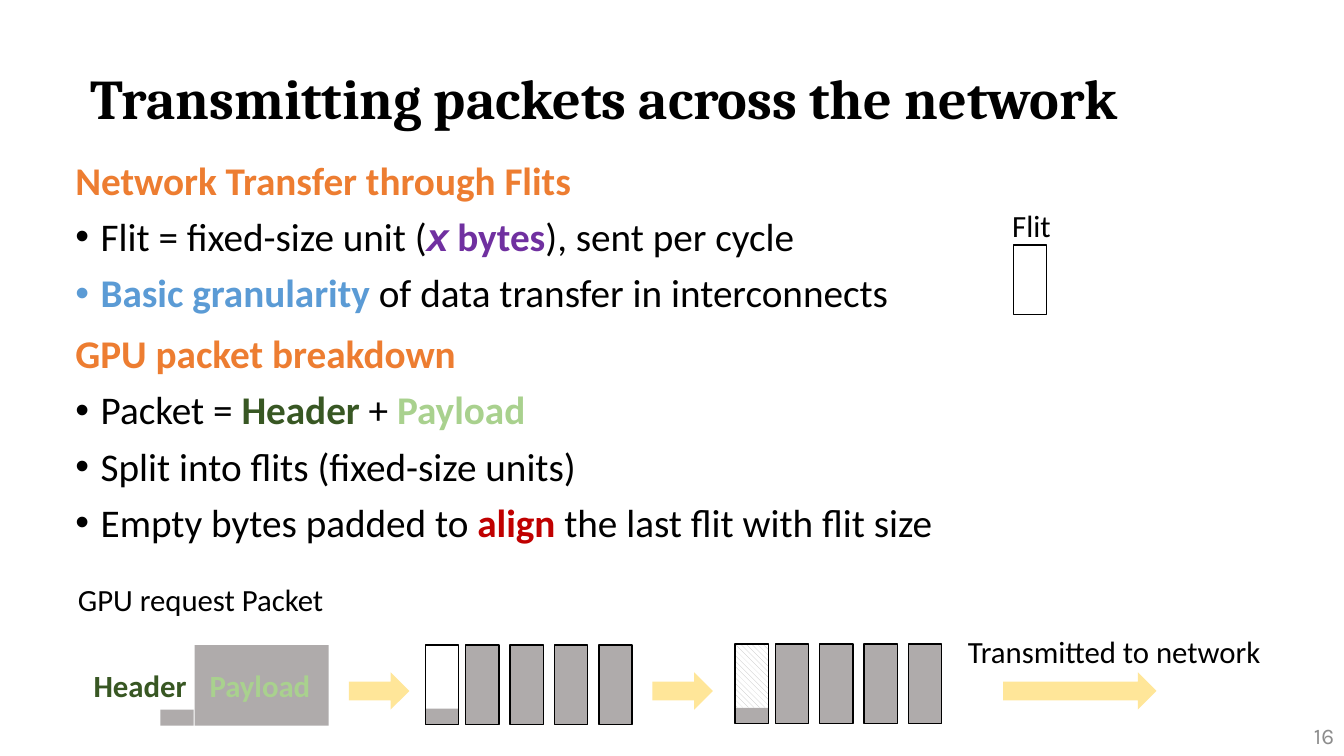
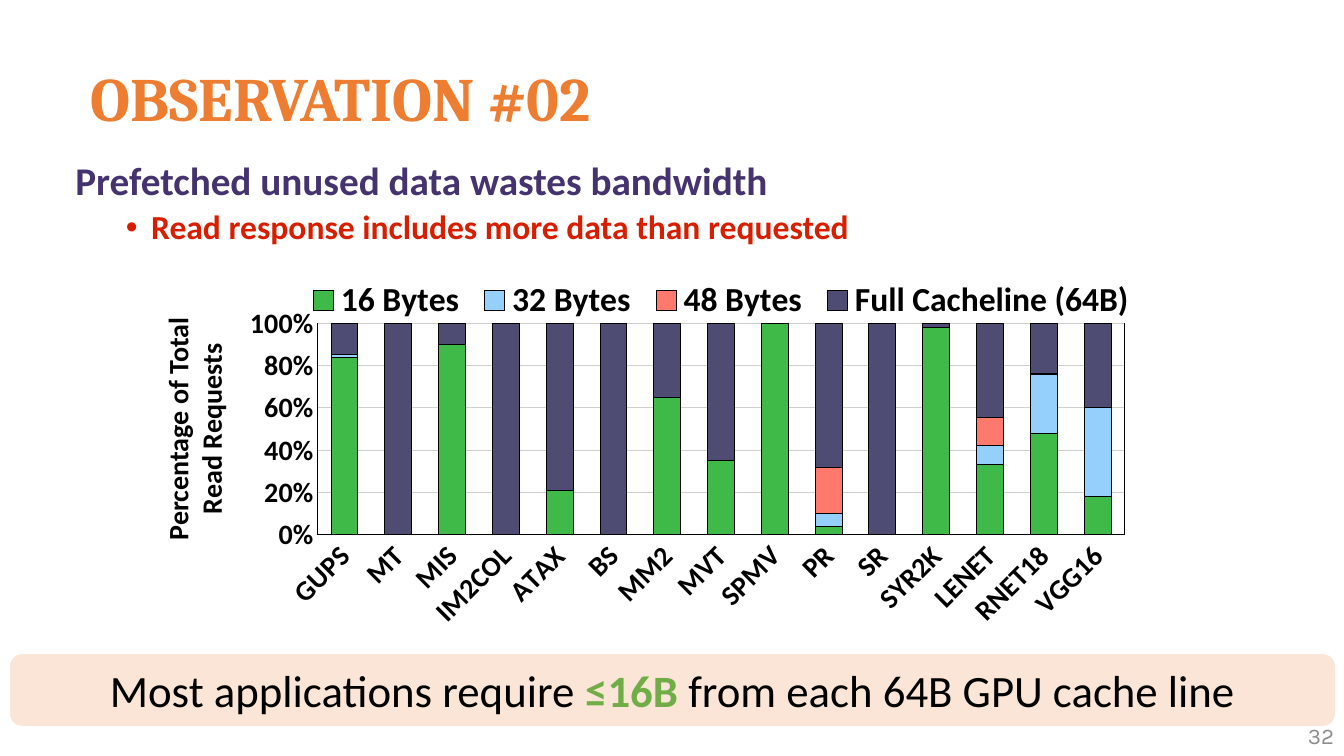
import dataclasses

import lxml.etree
import pptx
import pptx.chart.data
import pptx.dml.color
import pptx.enum.chart
import pptx.enum.dml
import pptx.enum.shapes
import pptx.enum.text
import pptx.oxml.ns
import pptx.util

Inches = pptx.util.Inches
Pt = pptx.util.Pt
qn = pptx.oxml.ns.qn
Shape = pptx.enum.shapes.MSO_SHAPE
Align = pptx.enum.text.PP_ALIGN
Anchor = pptx.enum.text.MSO_ANCHOR


@dataclasses.dataclass(frozen=True)
class Theme:
    """Colours, fonts and type sizes shared by the slides."""
    ink: str = "000000"
    paper: str = "FFFFFF"
    orange: str = "ED7D31"
    purple: str = "7030A0"
    blue: str = "5B9BD5"
    header: str = "385723"
    payload: str = "A9D18E"
    crimson: str = "C00000"
    violet: str = "453370"
    red: str = "D81E00"
    green: str = "70AD47"
    block: str = "AFABAB"
    arrow: str = "FFE699"
    hatch: str = "BFBFBF"
    band: str = "FBE5D6"
    grid: str = "D0CECE"
    muted: str = "8C8C8C"
    title_font: str = "Cambria"
    body_font: str = "Calibri"
    symbol_font: str = "Arial"
    number_font: str = "Karla"
    body: int = 28
    sub: int = 24
    label: int = 22
    axis: int = 20
    takeaway: int = 32
    number: int = 16


THEME = Theme()
REQUEST_SIZES = [
    ("16 Bytes", "3FBA48", (84, 0, 90, 0, 21, 0, 65, 35, 100, 4, 0, 98, 33, 48, 18)),
    ("32 Bytes", "95D0FC", (1, 0, 0, 0, 0, 0, 0, 0, 0, 6, 0, 0, 9, 28, 42)),
    ("48 Bytes", "FF796C", (0, 0, 0, 0, 0, 0, 0, 0, 0, 22, 0, 0, 13, 0, 0)),
    ("Full Cacheline (64B)", "4E4C72",
     (15, 100, 10, 100, 79, 100, 35, 65, 0, 68, 100, 2, 44, 24, 40)),
]
APPLICATIONS = ["GUPS", "MT", "MIS", "IM2COL", "ATAX", "BS", "MM2", "MVT", "SPMV",
                "PR", "SR", "SYR2K", "LENET", "RNET18", "VGG16"]


def rgb(color):
    """Turn a hex string into a colour."""
    return pptx.dml.color.RGBColor.from_string(color)


def lengths(*values):
    """Turn numbers of inches into lengths."""
    return [Inches(value) for value in values]


def set_font(font, size, color=THEME.ink, name=THEME.body_font, bold=False, italic=False):
    """Format a font."""
    font.name, font.size, font.bold, font.italic = name, Pt(size), bold, italic
    font.color.rgb = rgb(color)


def add_span(para, text, **style):
    """Add a run of text with its format."""
    span = para.add_run()
    span.text = text
    set_font(span.font, **style)


def write(frame, paras, size, align=Align.LEFT, before=0, spacing=None):
    """Fill a frame with paragraphs, each an indent (None for no bullet) and its spans."""
    for index, (indent, spans) in enumerate(paras):
        para = frame.add_paragraph() if index else frame.paragraphs[0]
        para.alignment = align
        para.space_before = Pt(before if index else 0)
        if spacing:
            para.line_spacing = spacing
        if indent is not None:
            properties = para._p.get_or_add_pPr()
            properties.set("marL", str(Inches(indent)))
            properties.set("indent", str(Inches(-0.25)))
            lxml.etree.SubElement(properties, qn("a:buFont"), typeface="Arial")
            lxml.etree.SubElement(properties, qn("a:buChar"), char="•")
        for text, style in spans:
            add_span(para, text, **{"size": size, **style})


def add_text(page, box, paras, size, anchor=Anchor.TOP, **layout):
    """Add a wrapped text box."""
    shape = page.shapes.add_textbox(*lengths(*box))
    shape.text_frame.word_wrap = True
    shape.text_frame.vertical_anchor = anchor
    write(shape.text_frame, paras, size, **layout)
    return shape


def add_label(page, box, text, align=Align.CENTER, **style):
    """Add a one-line caption."""
    return add_text(page, box, [(None, [(text, style)])], THEME.label, align=align)


def add_body(page, box, paras, before=10):
    """Add body text with the shared line spacing."""
    return add_text(page, box, paras, THEME.body, before=before, spacing=0.9)


def add_block(page, box, fill=None, outlined=False, kind=Shape.RECTANGLE):
    """Add a preset shape, filled or outlined."""
    shape = page.shapes.add_shape(kind, *lengths(*box))
    shape.shadow.inherit = False
    if fill:
        shape.fill.solid()
        shape.fill.fore_color.rgb = rgb(fill)
    else:
        shape.fill.background()
    if outlined:
        shape.line.color.rgb = rgb(THEME.ink)
        shape.line.width = Pt(1)
    else:
        shape.line.fill.background()
    return shape


def add_page(deck, title, number, size, color):
    """Add a title-only slide with its heading and page number."""
    page = deck.slides.add_slide(deck.slide_layouts[5])
    heading = page.shapes.title
    heading.left, heading.top, heading.width, heading.height = lengths(0.8, 0.28, 11.5, 1.45)
    heading.text_frame.word_wrap = True
    heading.text_frame.vertical_anchor = Anchor.MIDDLE
    style = {"color": color, "name": THEME.title_font, "bold": True}
    write(heading.text_frame, [(None, [(title, style)])], size, spacing=0.9)
    style = {"color": THEME.muted, "name": THEME.number_font}
    add_text(page, (10.33, 7.1, 3, 0.4), [(None, [(number, style)])], THEME.number,
             anchor=Anchor.MIDDLE, align=Align.RIGHT)
    return page


def add_flits(page, left, top, padded=False):
    """Draw a partly filled flit followed by four full ones."""
    width, height, used = 0.33, 0.79, 0.16
    add_block(page, (left, top + height - used, width, used), THEME.block)
    if padded:
        padding = add_block(page, (left, top, width, height - used))
        padding.fill.patterned()
        padding.fill.pattern = pptx.enum.dml.MSO_PATTERN.WIDE_DOWNWARD_DIAGONAL
        padding.fill.fore_color.rgb = rgb(THEME.hatch)
        padding.fill.back_color.rgb = rgb(THEME.paper)
    add_block(page, (left, top, width, height), outlined=True)
    for index in range(4):
        add_block(page, (left + 0.4 + 0.44 * index, top, width, height), THEME.block, True)


def add_packet_flow(page, left, top):
    """Draw the packet, its flits, the padded flits and the way to the network."""
    add_label(page, (left - 0.04, top, 3.12, 0.47), "GPU request Packet")
    add_block(page, (left + 1.12, top + 1.33, 0.33, 0.16), THEME.block)
    add_block(page, (left + 1.46, top + 0.69, 1.33, 0.8), THEME.block)
    for offset, text, color in ((0.36, "Header", THEME.header),
                                (1.51, "Payload", THEME.payload)):
        add_label(page, (left + offset, top + 0.86, 1.25, 0.47), text, Align.LEFT,
                  color=color, bold=True)
    add_flits(page, left + 3.75, top + 0.69)
    add_flits(page, left + 6.82, top + 0.68, padded=True)
    for offset, width in ((2.99, 0.6), (6, 0.6), (9.48, 1.52)):
        add_block(page, (left + offset, top + 0.96, width, 0.37), THEME.arrow,
                  kind=Shape.RIGHT_ARROW)
    add_label(page, (left + 8.69, top + 0.52, 3.78, 0.47), "Transmitted to network")


def set_layout(parent, index, target=None, **fractions):
    """Fix the place of a chart part as fractions of the chart."""
    for old in parent.findall(qn("c:layout")):
        parent.remove(old)
    layout = lxml.etree.Element(qn("c:layout"))
    manual = lxml.etree.SubElement(layout, qn("c:manualLayout"))
    if target:
        lxml.etree.SubElement(manual, qn("c:layoutTarget"), val=target)
    for key in ("xMode", "yMode"):
        lxml.etree.SubElement(manual, qn("c:" + key), val="edge")
    for key, value in fractions.items():
        lxml.etree.SubElement(manual, qn("c:" + key), val=str(value))
    parent.insert(index, layout)


def style_axis(axis):
    """Give an axis its line, type and no ticks."""
    axis.major_tick_mark = axis.minor_tick_mark = pptx.enum.chart.XL_TICK_MARK.NONE
    axis.format.line.color.rgb = rgb(THEME.ink)
    axis.format.line.width = Pt(0.75)
    set_font(axis.tick_labels.font, THEME.axis, bold=True)


def add_request_chart(page, left, top, width, height):
    """Add the stacked chart of read request sizes with its axis caption."""
    data = pptx.chart.data.CategoryChartData()
    data.categories = APPLICATIONS
    for name, color, values in REQUEST_SIZES:
        data.add_series(name, values)
    chart = page.shapes.add_chart(pptx.enum.chart.XL_CHART_TYPE.COLUMN_STACKED_100,
                                  *lengths(left, top, width, height), data).chart
    set_font(chart.font, 10)
    chart.has_title = False
    plot = chart.plots[0]
    plot.gap_width, plot.overlap, plot.vary_by_categories = 100, 100, False
    for series, (name, color, values) in zip(plot.series, REQUEST_SIZES):
        series.format.fill.solid()
        series.format.fill.fore_color.rgb = rgb(color)
        series.format.line.color.rgb = rgb(THEME.ink)
        series.format.line.width = Pt(0.75)
    shares = chart.value_axis
    style_axis(chart.category_axis)
    style_axis(shares)
    labels = chart.category_axis._element.find(qn("c:txPr")).find(qn("a:bodyPr"))
    labels.set("rot", "-2700000")
    shares.minimum_scale, shares.maximum_scale, shares.major_unit = 0, 1, 0.2
    shares.tick_labels.number_format = "0%"
    shares.tick_labels.number_format_is_linked = False
    shares.has_major_gridlines = True
    shares.major_gridlines.format.line.color.rgb = rgb(THEME.grid)
    shares.major_gridlines.format.line.width = Pt(0.75)
    chart.has_legend = True
    chart.legend.position = pptx.enum.chart.XL_LEGEND_POSITION.TOP
    chart.legend.include_in_layout = False
    set_font(chart.legend.font, THEME.sub, bold=True)
    set_layout(chart.legend._element, 1, x=0.08, y=0.01, w=0.91, h=0.08)
    area = {"x": 0.1, "y": 0.1, "w": 0.87, "h": 0.44}
    set_layout(plot._element.getparent(), 0, "inner", **area)

    right, plot_top = left + width * (area["x"] + area["w"]), top + height * area["y"]
    edge = page.shapes.add_connector(
        pptx.enum.shapes.MSO_CONNECTOR.STRAIGHT,
        *lengths(right, plot_top, right, plot_top + height * area["h"]))
    edge.line.color.rgb = rgb(THEME.ink)
    edge.line.width = Pt(0.75)
    lxml.etree.SubElement(edge._element.spPr, qn("a:effectLst"))
    caption = add_text(page, (left - 1.83, top + 1.14, 3.05, 0.77),
                       [(None, [(line, {"bold": True})])
                        for line in ("Percentage of Total", "Read Requests")],
                       THEME.axis, align=Align.CENTER)
    caption.rotation = 270


def add_takeaway(page, box, spans):
    """Add the rounded band with the main message."""
    band = add_block(page, box, THEME.band, kind=Shape.ROUNDED_RECTANGLE)
    band.text_frame.word_wrap = True
    band.text_frame.vertical_anchor = Anchor.MIDDLE
    write(band.text_frame, [(None, spans)], THEME.takeaway, align=Align.CENTER)


def build_packet_slide(deck):
    """Build the slide on sending packets as flits."""
    page = add_page(deck, "Transmitting packets across the network", "16", 40, THEME.ink)
    heading = {"color": THEME.orange, "bold": True}
    unit = {"color": THEME.purple, "bold": True}
    add_body(page, (0.65, 1.55, 8.9, 1.7), [
        (None, [("Network Transfer through Flits", heading)]),
        (0.25, [("Flit = fixed-size unit (", {}),
                ("x", {**unit, "name": THEME.symbol_font, "italic": True}),
                (" bytes", unit), ("), sent per cycle", {})]),
        (0.25, [("Basic granularity", {"color": THEME.blue, "bold": True}),
                (" of data transfer in interconnects", {})])])
    add_body(page, (0.65, 3.27, 10.09, 2.3), [
        (None, [("GPU packet breakdown", heading)]),
        (0.25, [("Packet = ", {}), ("Header", {"color": THEME.header, "bold": True}),
                (" + ", {}), ("Payload", {"color": THEME.payload, "bold": True})]),
        (0.25, [("Split into flits (fixed-size units)", {})]),
        (0.25, [("Empty bytes padded to ", {}),
                ("align", {"color": THEME.crimson, "bold": True}),
                (" the last flit with flit size", {})])])
    add_block(page, (10.05, 2.43, 0.33, 0.69), outlined=True)
    add_label(page, (9.72, 2, 1.02, 0.47), "Flit")
    add_packet_flow(page, 0.47, 5.71)


def build_observation_slide(deck):
    """Build the slide on wasted bandwidth."""
    page = add_page(deck, "OBSERVATION #02", "32", 44, THEME.orange)
    add_body(page, (0.65, 1.55, 12.68, 1.1), [
        (None, [("Prefetched unused data wastes bandwidth",
                 {"color": THEME.violet, "bold": True})]),
        (0.75, [("Read response includes more data than requested",
                 {"color": THEME.red, "bold": True, "size": THEME.sub})])], before=5)
    add_request_chart(page, 2.23, 2.73, 9.2, 4.77)
    add_takeaway(page, (0.1, 6.49, 13.14, 0.71), [
        ("Most applications require ", {}), ("≤16B", {"color": THEME.green, "bold": True}),
        (" from each 64B GPU cache line", {})])


def main():
    """Build and save the deck."""
    deck = pptx.Presentation()
    deck.slide_width, deck.slide_height = lengths(13.33, 7.5)
    build_packet_slide(deck)
    build_observation_slide(deck)
    deck.save("out.pptx")


if __name__ == "__main__":
    main()
